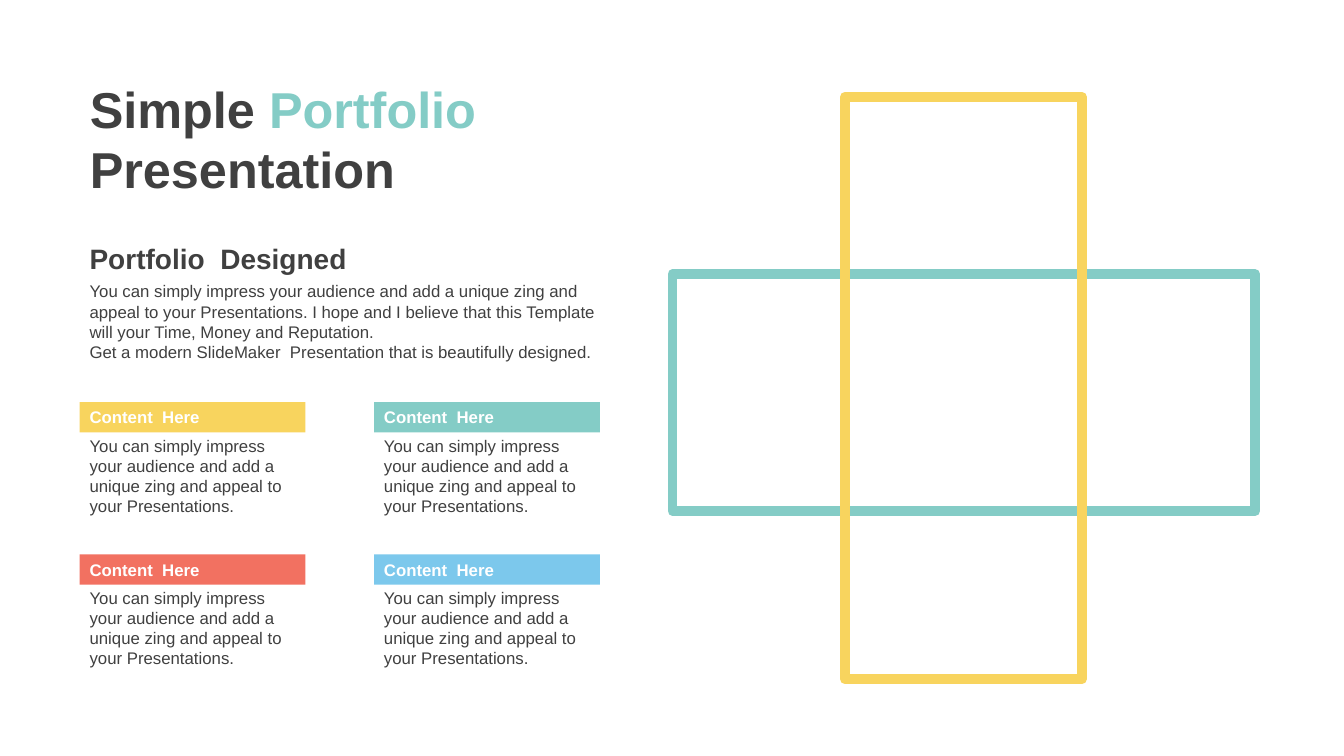
from pptx import Presentation
from pptx import util as u
from pptx.dml.color import RGBColor
from pptx.enum import shapes, text

COLORS = {
    "dark": "404040", "white": "FFFFFF", "teal": "84CCC6",
    "yellow": "F8D45E", "red": "F27161", "blue": "7CC8EC",
}
FONT = "Arial"
BLURB = "You can simply impress your audience and add a unique zing and appeal to your Presentations."
INTRO = [
    BLURB + " I hope and I believe that this Template will your Time, Money and Reputation.",
    "Get a modern SlideMaker  Presentation that is beautifully designed.",
]


class Deck:
    def __init__(self, prs):
        self.s = prs.slides.add_slide(prs.slide_layouts[5])

    def color(self, name):
        return RGBColor.from_string(COLORS[name])

    def style(self, font, size, color, bold=False):
        font.name, font.size, font.bold = FONT, u.Pt(size), bold
        font.color.rgb = self.color(color)

    def frame(self, sp, anchor=text.MSO_ANCHOR.TOP):
        tf = sp.text_frame
        tf.word_wrap = True
        tf.auto_size = text.MSO_AUTO_SIZE.NONE
        tf.vertical_anchor = anchor
        return tf

    def fill_text(self, tf, lines, size, color, bold=False, spacing=None):
        tf.text = "\n".join(lines)
        for p in tf.paragraphs:
            p.alignment = text.PP_ALIGN.LEFT
            p.line_spacing = spacing
            self.style(p.font, size, color, bold)

    def title(self, box, lines):
        sp = self.s.shapes.title
        sp.left, sp.top, sp.width, sp.height = map(u.Inches, box)
        tf = self.frame(sp)
        for i, runs in enumerate(lines):
            p = tf.add_paragraph() if i else tf.paragraphs[0]
            p.alignment = text.PP_ALIGN.LEFT
            for words, color in runs:
                r = p.add_run()
                r.text = words
                self.style(r.font, 36, color, True)

    def textbox(self, box, lines, size=12, bold=False, spacing=None,
                anchor=text.MSO_ANCHOR.TOP):
        sp = self.s.shapes.add_textbox(*map(u.Inches, box))
        self.fill_text(self.frame(sp, anchor), lines, size, "dark", bold, spacing)

    def rect(self, box):
        sp = self.s.shapes.add_shape(shapes.MSO_SHAPE.RECTANGLE, *map(u.Inches, box))
        sp.shadow.inherit = False
        return sp

    def outline(self, box, color):
        sp = self.rect(box)
        sp.fill.background()
        sp.line.color.rgb = self.color(color)
        sp.line.width = u.Pt(7)

    def band(self, box, words, color):
        sp = self.rect(box)
        sp.fill.solid()
        sp.fill.fore_color.rgb = self.color(color)
        sp.line.fill.background()
        tf = self.frame(sp, text.MSO_ANCHOR.MIDDLE)
        self.fill_text(tf, [words], 12, "white", True)


def main():
    prs = Presentation()
    prs.slide_width, prs.slide_height = u.Inches(13.33), u.Inches(7.5)
    deck = Deck(prs)

    # Crossed frames
    deck.outline((6.67, 2.72, 5.78, 2.35), "teal")
    deck.outline((8.38, 0.96, 2.35, 5.78), "yellow")

    # Title and introduction
    left = 0.79
    deck.title((left, 0.72, 4.6, 1.31), [
        [("Simple", "dark"), (" Portfolio", "teal")],
        [("Presentation", "dark")],
    ])
    deck.textbox((left, 2.35, 5.46, 0.39), ["Portfolio  Designed"], 20, True, 1.1,
                 text.MSO_ANCHOR.MIDDLE)
    deck.textbox((left, 2.74, 5.46, 0.91), INTRO)

    # Two by two grid of content cards
    for i, color in enumerate(("yellow", "teal", "red", "blue")):
        row, col = divmod(i, 2)
        x, y = left + 2.92 * col, 3.99 + 1.51 * row
        deck.band((x, y, 2.24, 0.3), "Content  Here", color)
        deck.textbox((x, y + 0.28, 2.24, 0.91), [BLURB])

    prs.save("out.pptx")


if __name__ == "__main__":
    main()
